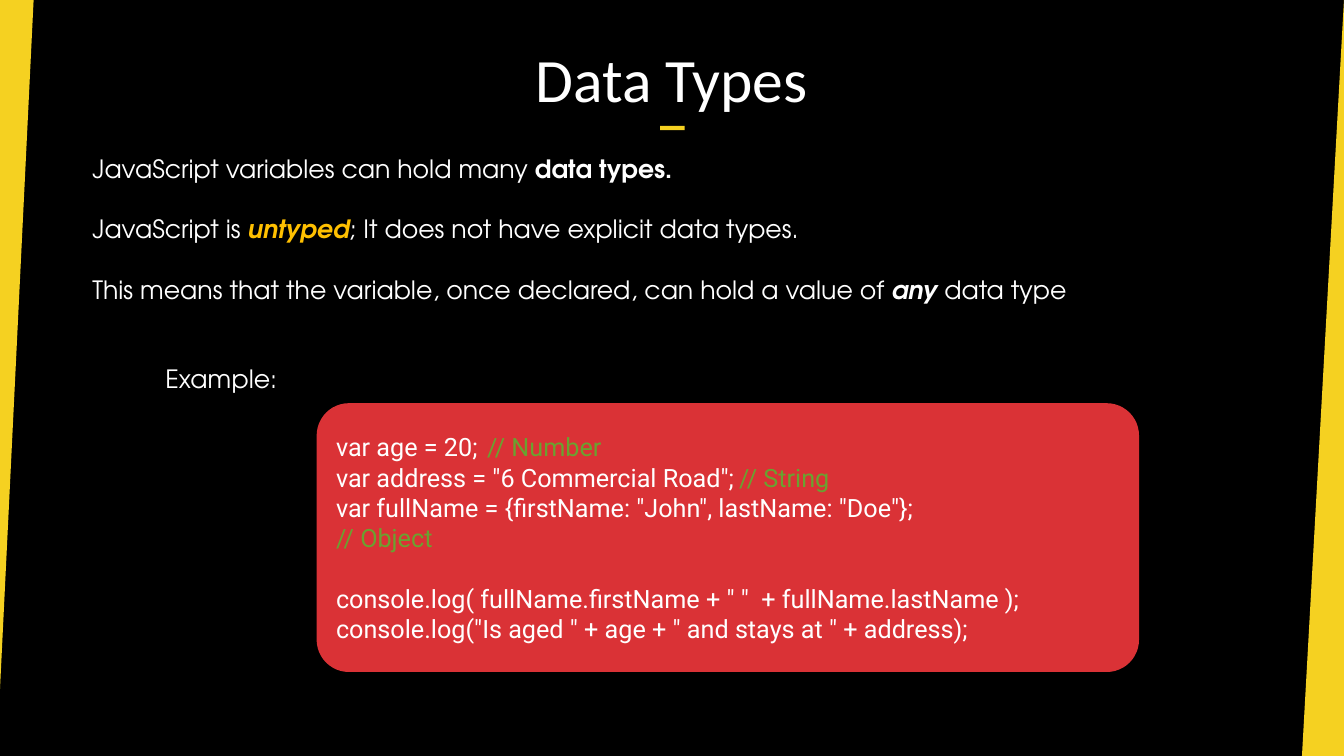
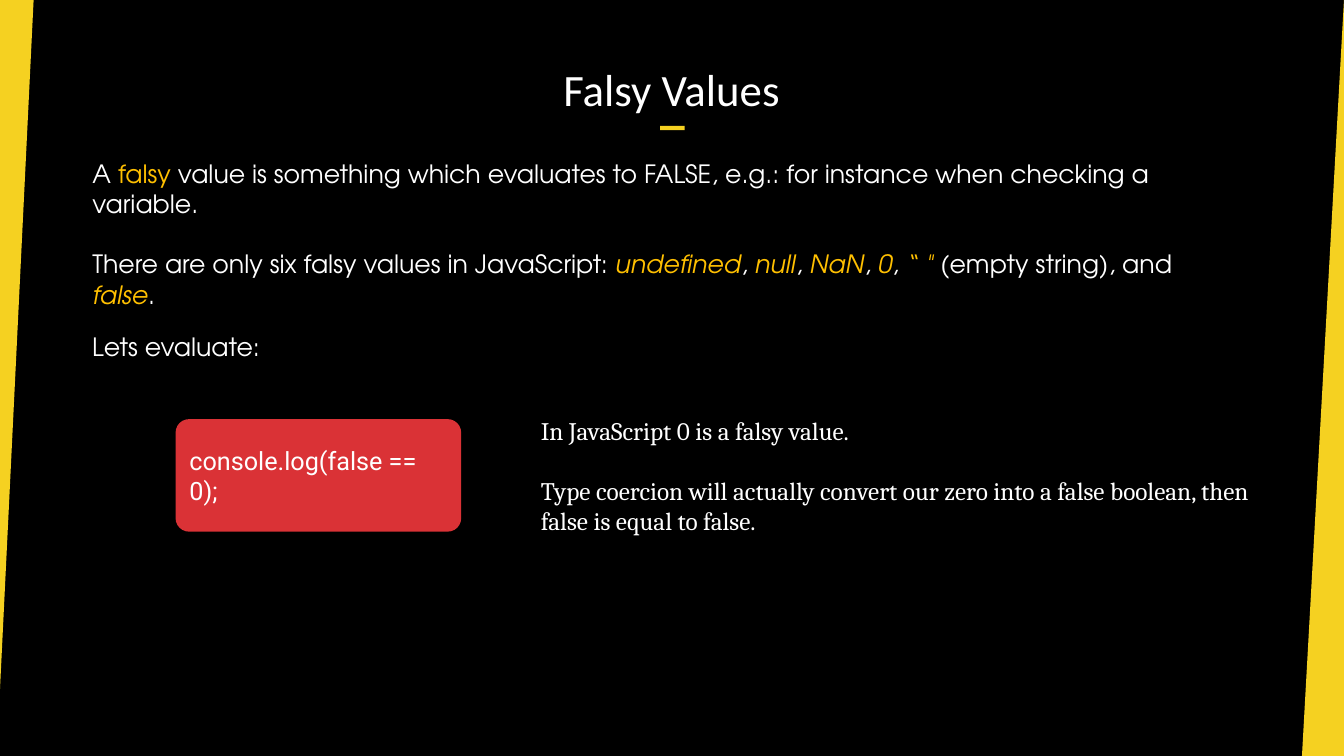
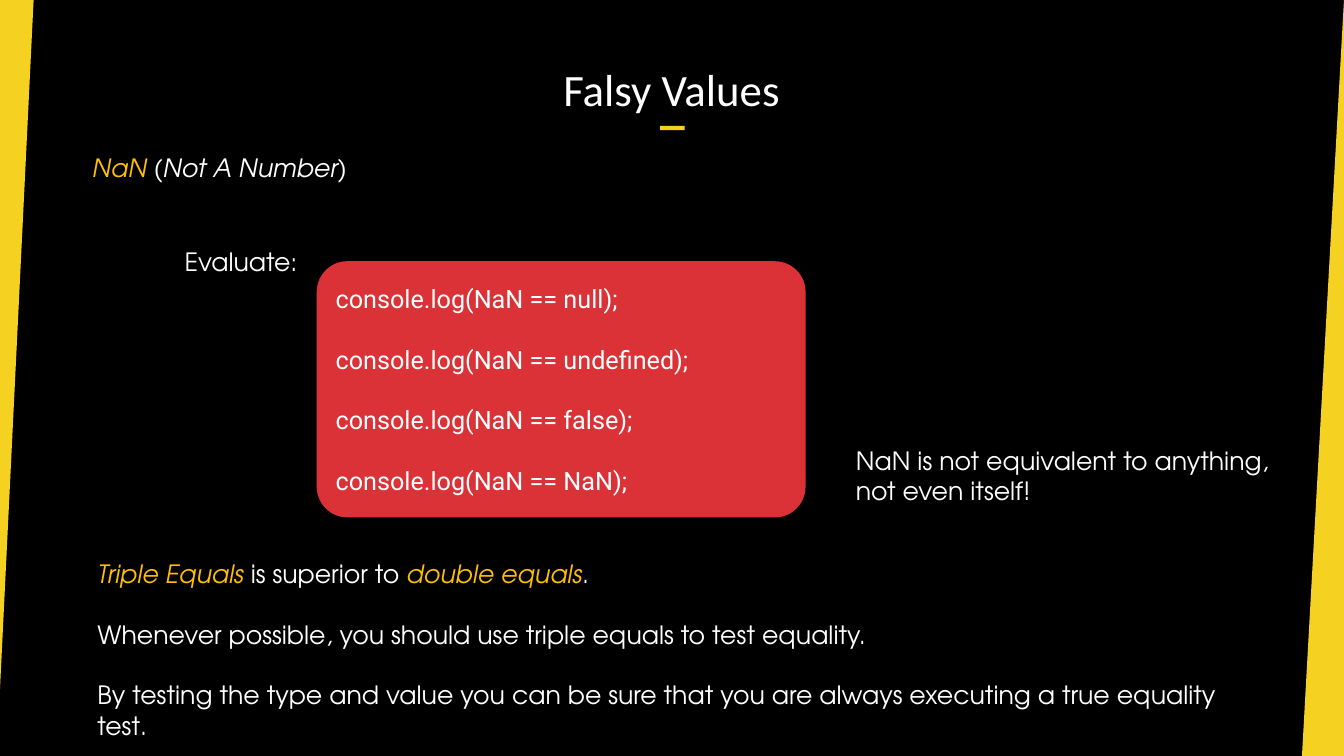
from dataclasses import dataclass
from typing import NamedTuple

from lxml import etree
from pptx import Presentation
from pptx import util as u
from pptx.dml.color import RGBColor
from pptx.enum import shapes, text
from pptx.oxml.ns import qn


@dataclass(frozen=True)
class Theme:
    background: str = "000000"
    accent: str = "F5D121"
    code_fill: str = "DA3236"
    text: str = "FFFFFF"
    keyword: str = "FFC000"
    comment: str = "6AA230"
    title_font: str = "Calibri"
    body_font: str = "TeX Gyre Adventor"
    code_font: str = "Roboto"
    note_font: str = "Cambria"
    title_size: float = 44
    subtitle_size: float = 32
    body_size: float = 18
    paragraph_gap: float = 21.6
    comment_tab: float = 6
    corner: float = 0.12


THEME = Theme()
WIDTH, HEIGHT = u.Inches(13.333), u.Inches(7.5)
COLUMNS, ROWS = 160, 90
CELL = HEIGHT / ROWS


class Area(NamedTuple):
    """A place on the grid, in columns and rows."""
    column: float
    row: float
    columns: float
    rows: float

    def lengths(self) -> list[u.Emu]:
        return [u.Emu(round(cells * CELL)) for cells in self]


class Run(NamedTuple):
    words: str
    color: str = THEME.text
    bold: bool = False
    italic: bool = False


class Line(NamedTuple):
    runs: tuple[Run, ...]
    gap: bool = False


@dataclass(frozen=True)
class Block:
    area: Area
    lines: tuple[Line, ...]
    font: str = THEME.body_font


@dataclass(frozen=True)
class Lesson:
    title: str
    title_size: float
    body: Block
    code: Block
    notes: tuple[Block, ...]


def line(*parts: str | Run, gap: bool = False) -> Line:
    return Line(tuple(p if isinstance(p, Run) else Run(p) for p in parts), gap)


def key(words: str, bold: bool = False, italic: bool = True) -> Run:
    return Run(words, THEME.keyword, bold, italic)


def remark(words: str) -> Run:
    return Run(words, THEME.comment)


def label(column: float, row: float, *parts: str | Run) -> Block:
    return Block(Area(column, row, 60.7, 4.8), (line(*parts),))


TITLE_AREA = Area(46.4, 4.7, 67.1, 9)
DASH_AREA = Area(78.6, 15, 2.9, 0.5)
BANDS = (
    ((0, 0), (3.84, 0), (0, 82.3)),
    ((159.72, 0), (COLUMNS, 0), (COLUMNS, ROWS), (154.56, ROWS)),
)

LESSONS = (
    Lesson(
        "Data Types", THEME.title_size,
        body=Block(Area(9.8, 17.6, 138.6, 23), (
            line("JavaScript variables can hold many ", Run("data types.", bold=True)),
            line("JavaScript is ", key("untyped", bold=True),
                 "; It does not have explicit data types.", gap=True),
            line("This means that the variable, once declared, can hold a value of ",
                 Run("any", bold=True, italic=True), " data type", gap=True),
        )),
        code=Block(Area(37.7, 48, 97.9, 32), (
            line("var age = 20;\t", remark("// Number")),
            line('var address = "6 Commercial Road";\t', remark("// String")),
            line('var fullName = {firstName: "John", lastName: "Doe"};'),
            line(remark("// Object")),
            line('console.log( fullName.firstName + " "  + fullName.lastName );', gap=True),
            line('console.log("Is aged " + age + " and stays at " + address);'),
        ), THEME.code_font),
        notes=(label(18.5, 42.7, "Example:"),),
    ),
    Lesson(
        "Falsy Values", THEME.subtitle_size,
        body=Block(Area(9.8, 18.2, 138.6, 18), (
            line("A ", key("falsy", italic=False),
                 " value is something which evaluates to FALSE, e.g.: for instance "
                 "when checking a variable."),
            line("There are only six falsy values in JavaScript: ", key("undefined"), ", ",
                 key("null"), ", ", key("NaN"), ", ", key("0"), ", ", key("“ \""),
                 " (empty string), and ", key("false"), ".", gap=True),
        )),
        code=Block(Area(20.9, 49.9, 34, 13.4),
                   (line("console.log(false == 0);"),), THEME.code_font),
        notes=(
            label(9.8, 38.9, "Lets evaluate:"),
            Block(Area(63.2, 48.8, 88, 15.7), (
                line("In JavaScript 0 is a falsy value."),
                line("Type coercion will actually convert our zero into a false boolean, "
                     "then false is equal to false.", gap=True),
            ), THEME.note_font),
        ),
    ),
    Lesson(
        "Falsy Values", THEME.subtitle_size,
        body=Block(Area(10.4, 65.9, 141.8, 23), (
            line(key("Triple Equals "), "is superior to ", key("double equals"), "."),
            line("Whenever possible, you should use triple equals to test equality.", gap=True),
            line("By testing the type and value you can be sure that you are always "
                 "executing a true equality test.", gap=True),
        )),
        code=Block(Area(37.7, 31.1, 58.2, 30.5), tuple(
            line(f"console.log(NaN == {value});", gap=index > 0)
            for index, value in enumerate(("null", "undefined", "false", "NaN"))
        ), THEME.code_font),
        notes=(
            label(9.8, 17.6, key("NaN "), Run("(Not A Number)", italic=True)),
            label(20.8, 28.7, "Evaluate:"),
            Block(Area(100.7, 52.4, 53.8, 8.5),
                  (line("NaN is not equivalent to anything, not even itself!"),)),
        ),
    ),
)


def rgb(color: str) -> RGBColor:
    return RGBColor.from_string(color)


def paint(shape, color: str) -> None:
    shape.shadow.inherit = False
    shape.fill.solid()
    shape.fill.fore_color.rgb = rgb(color)
    shape.line.fill.background()


def place(shape, area: Area) -> None:
    shape.left, shape.top, shape.width, shape.height = area.lengths()


def add_run(paragraph, run: Run, font: str, size: float) -> None:
    part = paragraph.add_run()
    part.text = run.words
    part.font.name = font
    part.font.size = u.Pt(size)
    part.font.color.rgb = rgb(run.color)
    part.font.bold = run.bold
    part.font.italic = run.italic


def clear_bullet(paragraph, tabbed: bool) -> None:
    """Remove bullet and indent, and set the tab stop of code comments."""
    properties = paragraph._p.get_or_add_pPr()
    properties.set("marL", "0")
    properties.set("indent", "0")
    etree.SubElement(properties, qn("a:buNone"))
    if tabbed:
        stops = etree.SubElement(properties, qn("a:tabLst"))
        etree.SubElement(stops, qn("a:tab"), pos=str(u.Inches(THEME.comment_tab)), algn="l")


def write(frame, block: Block, anchor=text.MSO_ANCHOR.TOP) -> None:
    frame.word_wrap = True
    frame.auto_size = text.MSO_AUTO_SIZE.NONE
    frame.vertical_anchor = anchor
    for index, content in enumerate(block.lines):
        paragraph = frame.add_paragraph() if index else frame.paragraphs[0]
        paragraph.alignment = text.PP_ALIGN.LEFT
        paragraph.space_before = u.Pt(THEME.paragraph_gap if content.gap else 0)
        clear_bullet(paragraph, any("\t" in run.words for run in content.runs))
        for run in content.runs:
            add_run(paragraph, run, block.font, THEME.body_size)


def draw_bands(slide) -> None:
    for start, *corners in BANDS:
        builder = slide.shapes.build_freeform(*start, scale=CELL)
        builder.add_line_segments(corners, close=True)
        paint(builder.convert_to_shape(), THEME.accent)


def draw_title(slide, words: str, size: float) -> None:
    title = slide.shapes.title
    place(title, TITLE_AREA)
    frame = title.text_frame
    frame.auto_size = text.MSO_AUTO_SIZE.NONE
    frame.vertical_anchor = text.MSO_ANCHOR.BOTTOM
    frame.margin_top, frame.margin_bottom = u.Inches(0.04), 0
    frame.paragraphs[0].alignment = text.PP_ALIGN.CENTER
    add_run(frame.paragraphs[0], Run(words), THEME.title_font, size)
    dash = slide.shapes.add_shape(shapes.MSO_SHAPE.RECTANGLE, *DASH_AREA.lengths())
    paint(dash, THEME.accent)


def draw_code(slide, block: Block) -> None:
    panel = slide.shapes.add_shape(
        shapes.MSO_SHAPE.ROUNDED_RECTANGLE, *block.area.lengths())
    panel.adjustments[0] = THEME.corner
    paint(panel, THEME.code_fill)
    write(panel.text_frame, block, text.MSO_ANCHOR.MIDDLE)


def draw_lesson(presentation, lesson: Lesson) -> None:
    slide = presentation.slides.add_slide(
        presentation.slide_layouts.get_by_name("Title and Content"))
    draw_bands(slide)
    draw_title(slide, lesson.title, lesson.title_size)
    draw_code(slide, lesson.code)
    body = slide.placeholders[1]
    place(body, lesson.body.area)
    write(body.text_frame, lesson.body)
    for note in lesson.notes:
        write(slide.shapes.add_textbox(*note.area.lengths()).text_frame, note)


def main() -> None:
    presentation = Presentation()
    presentation.slide_width, presentation.slide_height = WIDTH, HEIGHT
    backdrop = presentation.slide_master.background.fill
    backdrop.solid()
    backdrop.fore_color.rgb = rgb(THEME.background)
    for lesson in LESSONS:
        draw_lesson(presentation, lesson)
    presentation.save("out.pptx")


if __name__ == "__main__":
    main()
